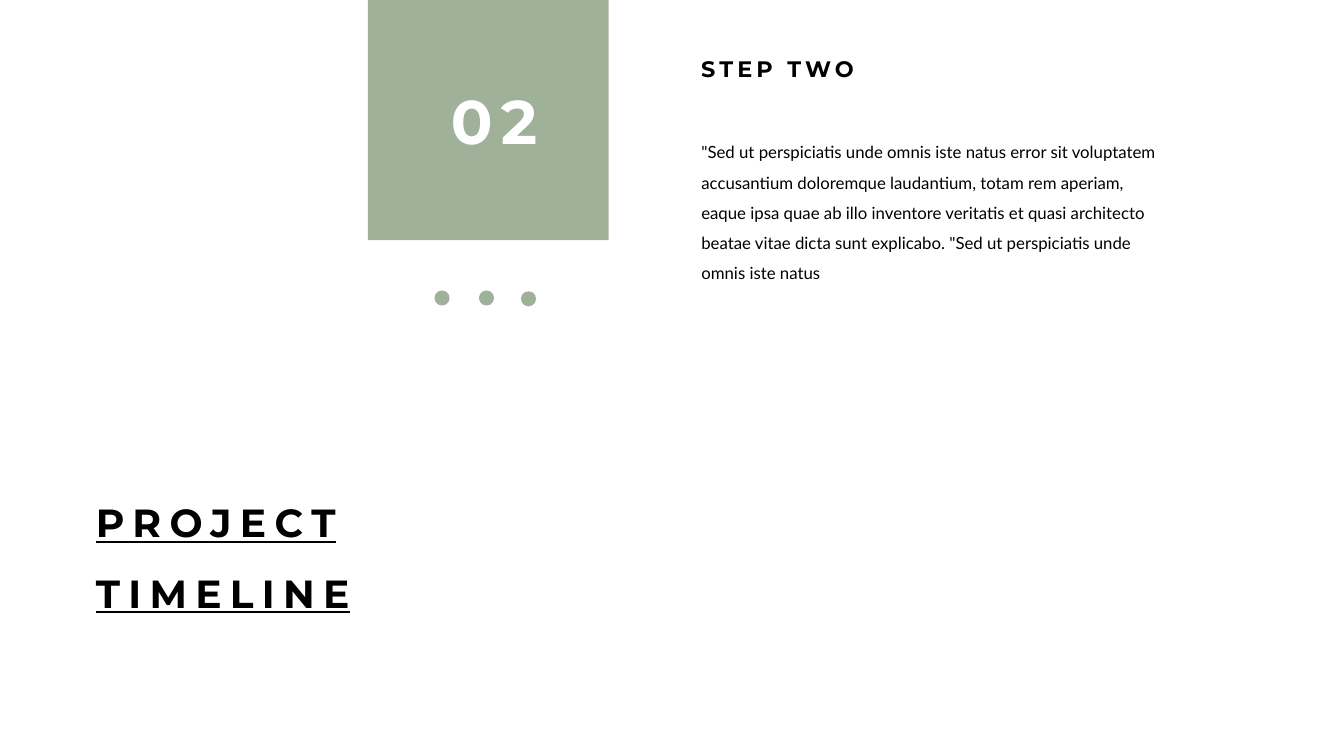
"""Build a project timeline slide for step two."""
import pptx
import pptx.dml.color
import pptx.enum.shapes
import pptx.enum.text
import pptx.util
from lxml import etree

Cm = pptx.util.Cm
Pt = pptx.util.Pt
RGBColor = pptx.dml.color.RGBColor
ALIGN = pptx.enum.text.PP_ALIGN
FIT = pptx.enum.text.MSO_AUTO_SIZE
SHAPE = pptx.enum.shapes.MSO_SHAPE

SAGE = RGBColor(0xA0, 0xB1, 0x9A)
BLACK = RGBColor(0, 0, 0)
WHITE = RGBColor(0xFF, 0xFF, 0xFF)

HEADLINE = ["PROJECT", "TIMELINE"]
STEP_NUMBER = ["02"]
STEP_NAME = ["STEP TWO"]
STEP_DETAIL = [
    '"Sed ut perspiciatis unde omnis iste natus error sit voluptatem '
    "accusantium doloremque laudantium, totam rem aperiam, eaque ipsa quae "
    "ab illo inventore veritatis et quasi architecto beatae vitae dicta sunt "
    'explicabo. "Sed ut perspiciatis unde omnis iste natus'
]
NUMBER_TILE = (9.27, 0, 6.07, 6.05)
DOT_SIZE = 0.38
DOTS = [(10.95, 7.32), (12.07, 7.32), (13.13, 7.34)]


def write(holder, lines, box, *, size, font="Montserrat", color=BLACK, bold=True,
          underline=False, tracking=0, leading=1.0, align=ALIGN.LEFT, fit=FIT.NONE):
    """Place a text holder and fill it with formatted lines."""
    holder.left, holder.top, holder.width, holder.height = map(Cm, box)
    frame = holder.text_frame
    frame.text = "\n".join(lines)
    frame.word_wrap = True
    frame.auto_size = fit
    frame.vertical_anchor = pptx.enum.text.MSO_ANCHOR.TOP
    for paragraph in frame.paragraphs:
        paragraph.alignment = align
        paragraph.line_spacing = leading
        paragraph.space_before = Pt(0)
        properties = paragraph._p.get_or_add_pPr()
        properties.set("marL", "0")
        properties.set("indent", "0")
        etree.SubElement(properties, pptx.oxml.ns.qn("a:buNone"))
        for run in paragraph.runs:
            run.font.name = font
            run.font.size = Pt(size)
            run.font.bold = bold
            run.font.underline = underline
            run.font.color.rgb = color
            run._r.get_or_add_rPr().set("spc", str(tracking * 100))


def add_sage(slide, kind, box):
    """Add a plain sage shape."""
    accent = slide.shapes.add_shape(kind, *map(Cm, box))
    accent.fill.solid()
    accent.fill.fore_color.rgb = SAGE
    accent.line.fill.background()
    accent.shadow.inherit = False


def main():
    """Compose and save the slide."""
    deck = pptx.Presentation()
    deck.slide_width, deck.slide_height = Cm(33.87), Cm(19.05)
    slide = deck.slides.add_slide(deck.slide_layouts[1])

    add_sage(slide, SHAPE.RECTANGLE, NUMBER_TILE)
    write(slide.shapes.title, HEADLINE, (2.16, 11.84, 11.15, 3.63), size=28,
          underline=True, tracking=6, leading=1.5, fit=FIT.SHAPE_TO_FIT_TEXT)
    write(slide.placeholders[1], STEP_DETAIL, (17.42, 3.2, 12.19, 4.72), size=12,
          font="Lato", bold=False, leading=1.5)
    step_name = slide.shapes.add_textbox(0, 0, 0, 0)
    write(step_name, STEP_NAME, (17.42, 1.27, 11.76, 1.19), size=16, tracking=3)
    step_number = slide.shapes.add_textbox(0, 0, 0, 0)
    write(step_number, STEP_NUMBER, (10.57, 1.96, 3.76, 2.13), size=44, color=WHITE,
          tracking=6, align=ALIGN.CENTER, fit=FIT.SHAPE_TO_FIT_TEXT)
    for left, top in DOTS:
        add_sage(slide, SHAPE.OVAL, (left, top, DOT_SIZE, DOT_SIZE))
    deck.save("out.pptx")


if __name__ == "__main__":
    main()
